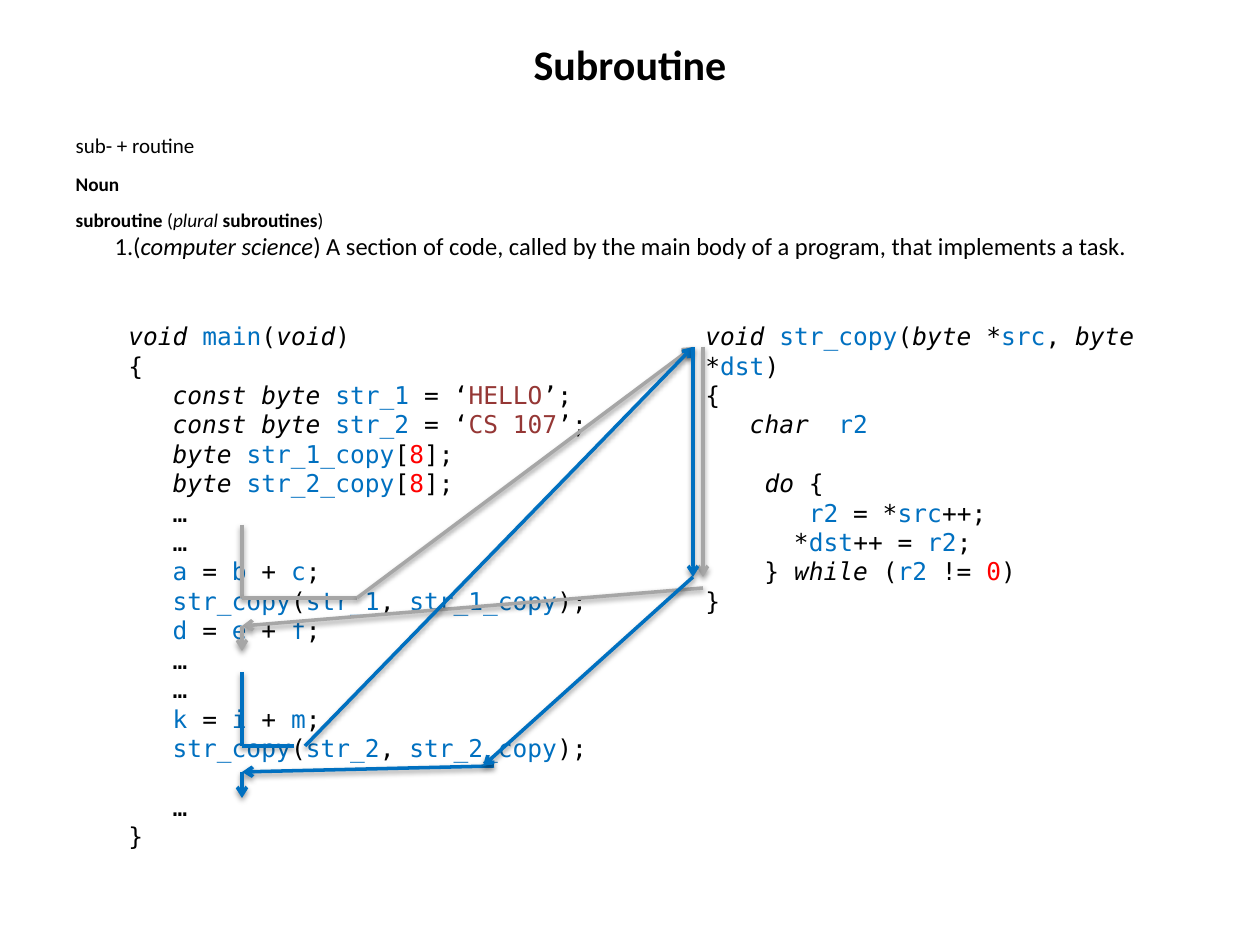
from lxml.etree import SubElement
from pptx import Presentation
from pptx.dml.color import RGBColor
from pptx.enum.shapes import MSO_CONNECTOR
from pptx.enum.text import MSO_ANCHOR, MSO_AUTO_SIZE, PP_ALIGN
from pptx.oxml import parse_xml
from pptx.oxml.ns import nsdecls, qn
from pptx.util import Emu, Inches, Pt

COLOURS = {"text": "000000", "name": "0070C0", "number": "FF0000",
           "string": "953735", "first call": "A6A6A6", "second call": "0070C0"}
PROSE, CODE = "Calibri", "DejaVu Sans Mono"
CODE_MARKS = {"~": {"italic": True}, "@": {"colour": "name"},
              "#": {"colour": "number"}, "%": {"colour": "string"}}
SHADOW = (f'<a:effectLst {nsdecls("a")}><a:outerShdw blurRad="39400" dist="20000" '
          'dir="5400000" rotWithShape="0"><a:srgbClr val="000000">'
          '<a:alpha val="38000"/></a:srgbClr></a:outerShdw></a:effectLst>')

DEFINITION = [
    (12, 0, 0, [("sub- + routine", {})]),
    (11, 8.5, 0, [("Noun", {"bold": True})]),
    (11, 7.3, 0, [("subroutine", {"bold": True}), (" (", {}), ("plural ", {"italic": True}),
                  ("subroutines", {"bold": True}), (")", {})]),
    (14, 0, 39, [("1.(", {}), ("computer science", {"italic": True}),
                 (") A section of code, called by the main body of a program, "
                  "that implements a task.", {})]),
]
MAIN_CODE = """~void |@main|(|~void|)
{
   |~const byte |@str_1| = ‘|%HELLO|’;
   |~const byte |@str_2| = ‘|%CS 107|’;
   |~byte |@str_1_copy|[|#8|];
   |~byte |@str_2_copy|[|#8|];
   …
   …
   |@a| = |@b| + |@c|;
   |@str_copy|(|@str_1|, |@str_1_copy|);
   |@d| = |@e| + |@f|;
   …
   …
   |@k| = |@i| + |@m|;
   |@str_copy|(|@str_2|, |@str_2_copy|);

   …
}"""
COPY_CODE = """~void |@str_copy|(|~byte |*|@src|, |~byte |*|@dst|)
{
   |~char  |@r2

    |~do |{
       |@r2| = *|@src|++;
      *|@dst|++ = |@r2|;
    } |~while| (|@r2| != |#0|)
}"""
PLAIN, ARROW = False, True
FLOWS = {
    "first call": [
        (242, 525, 242, 598, PLAIN), (242, 598, 357, 598, PLAIN),
        (357, 598, 693, 347, ARROW), (703, 347, 703, 577, ARROW),
        (703, 588, 242, 626, ARROW), (242, 626, 242, 651, ARROW)],
    "second call": [
        (242, 672, 242, 746, PLAIN), (242, 746, 294, 746, PLAIN),
        (305, 746, 693, 347, ARROW), (693, 347, 693, 577, ARROW),
        (494, 766, 242, 772, ARROW), (242, 772, 242, 798, ARROW),
        (693, 577, 483, 766, ARROW)],
}


def px(length):
    """Turn pixels into EMU."""
    return Emu(round(length * 914400 / 126))


def write(paragraph, text, size=14, face=PROSE, colour="text", bold=False, italic=False):
    """Add one formatted run to a paragraph."""
    run = paragraph.add_run()
    run.text = text
    font = run.font
    font.size, font.name, font.bold, font.italic = Pt(size), face, bold, italic
    font.color.rgb = RGBColor.from_string(COLOURS[colour])


class Page:
    """Hold the slide and the style of its elements."""

    line_width = Pt(2)
    code_size = 14
    code_leading = 16.8

    def __init__(self, slide):
        """Keep the slide to draw on."""
        self.slide = slide

    def prepare(self, shape, box, anchor=MSO_ANCHOR.TOP):
        """Place a text shape and return its frame."""
        shape.left, shape.top, shape.width, shape.height = map(px, box)
        frame = shape.text_frame
        frame.word_wrap = True
        frame.auto_size = MSO_AUTO_SIZE.NONE
        frame.vertical_anchor = anchor
        return frame

    def lines(self, frame, items):
        """Pair each item with its own paragraph."""
        for number, item in enumerate(items):
            yield (frame.add_paragraph() if number else frame.paragraphs[0]), item

    def title(self, text, box):
        """Fill the title placeholder."""
        frame = self.prepare(self.slide.shapes.title, box, MSO_ANCHOR.MIDDLE)
        frame.paragraphs[0].alignment = PP_ALIGN.CENTER
        write(frame.paragraphs[0], text, size=24, bold=True)

    def body(self, entries, box):
        """Fill the body placeholder with the dictionary entry."""
        frame = self.prepare(self.slide.placeholders[1], box)
        for paragraph, (size, gap, indent, runs) in self.lines(frame, entries):
            properties = paragraph._p.get_or_add_pPr()
            properties.set("marL", str(px(indent)))
            properties.set("indent", "0")
            SubElement(properties, qn("a:buNone"))
            paragraph.space_before = Pt(gap)
            for text, style in runs:
                write(paragraph, text, size=size, **style)

    def code(self, source, box):
        """Add a highlighted listing, with gaps for its empty lines."""
        frame = self.prepare(self.slide.shapes.add_textbox(0, 0, 0, 0), box)
        rows = source.split("\n")
        spaced = [(row, number > 0 and not rows[number - 1])
                  for number, row in enumerate(rows) if row]
        for paragraph, (row, after_gap) in self.lines(frame, spaced):
            if after_gap:
                paragraph.space_before = Pt(self.code_leading)
            for part in row.split("|"):
                style = CODE_MARKS.get(part[0], {})
                write(paragraph, part[1:] if style else part,
                      size=self.code_size, face=CODE, **style)

    def flow(self, start_x, start_y, end_x, end_y, arrow, colour):
        """Draw one step of the control flow."""
        step = self.slide.shapes.add_connector(
            MSO_CONNECTOR.STRAIGHT, *map(px, (start_x, start_y, end_x, end_y)))
        step.line.width = self.line_width
        step.line.color.rgb = RGBColor.from_string(COLOURS[colour])
        if arrow:
            SubElement(step.line._get_or_add_ln(), qn("a:tailEnd"), type="arrow")
        step._element.spPr.append(parse_xml(SHADOW))


def main():
    """Build the subroutine slide."""
    deck = Presentation()
    deck.slide_width, deck.slide_height = Inches(10), Inches(7.5)
    page = Page(deck.slides.add_slide(deck.slide_layouts[1]))
    page.title("Subroutine", (0, 32, 1260, 63))
    page.body(DEFINITION, (63, 126, 1103, 142))
    page.code(COPY_CODE, (693, 315, 505, 280))
    page.code(MAIN_CODE, (116, 315, 491, 556))
    for call, steps in FLOWS.items():
        for step in steps:
            page.flow(*step, colour=call)
    deck.save("out.pptx")


if __name__ == "__main__":
    main()
